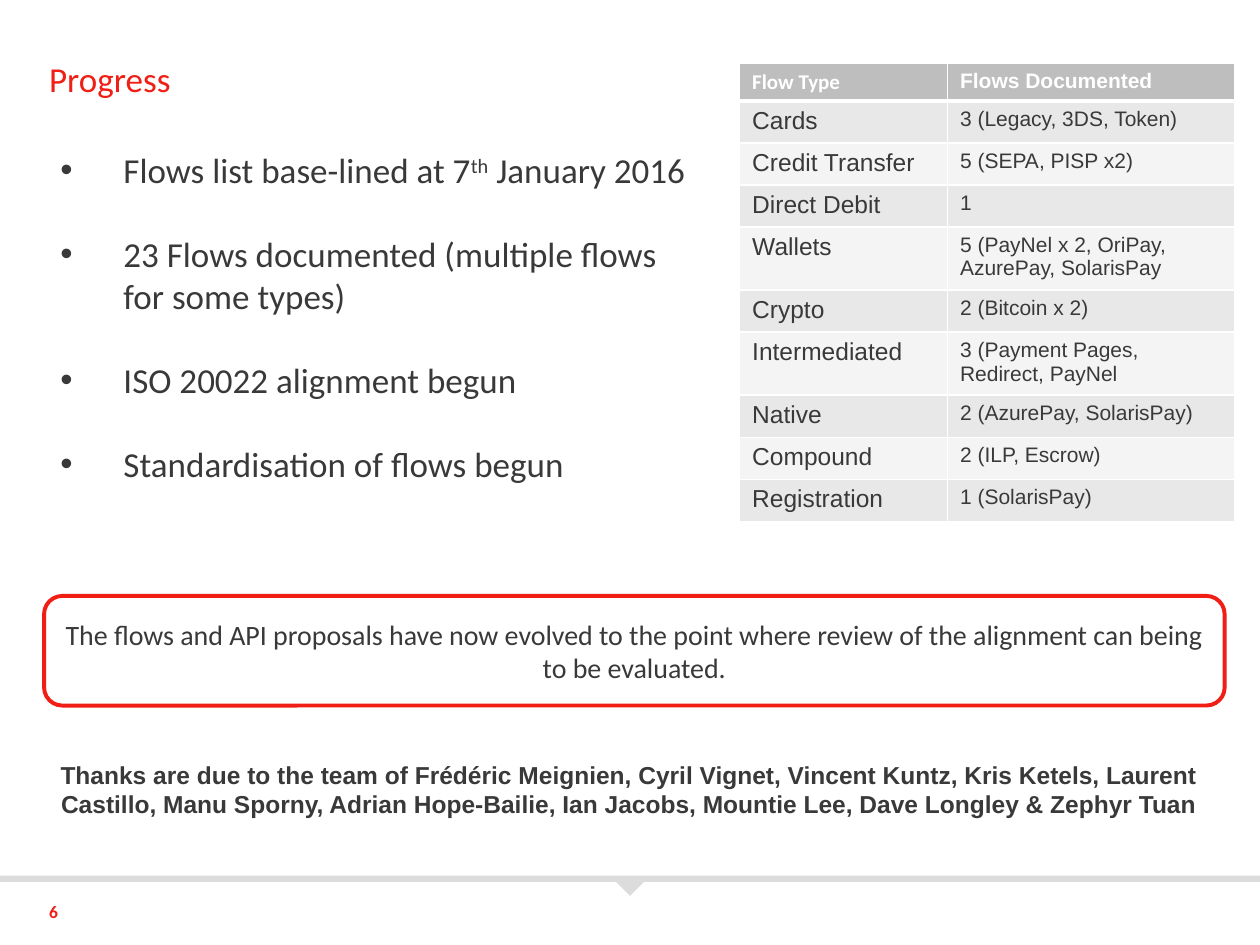
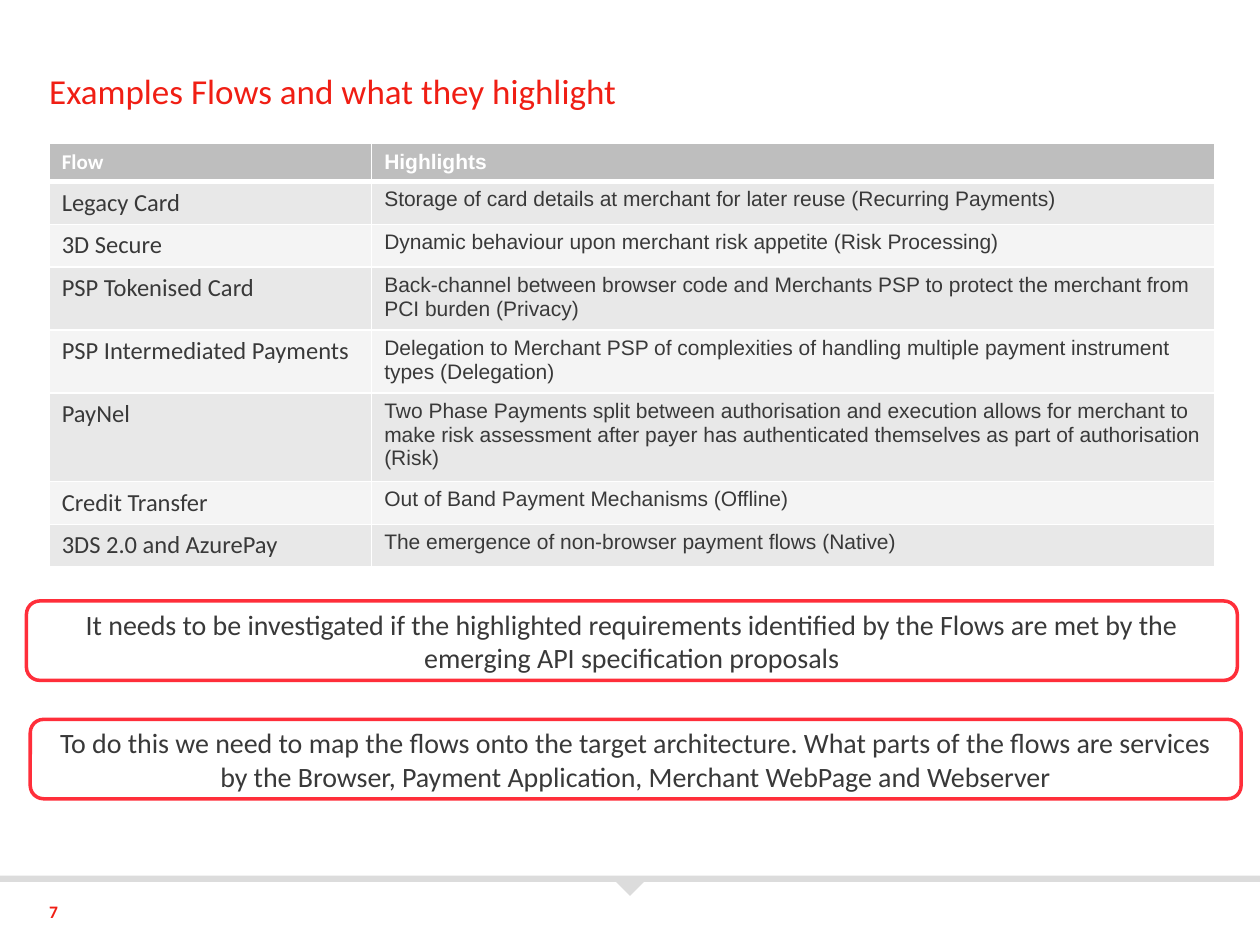
from lxml.etree import SubElement
from pptx import Presentation
from pptx.dml.color import RGBColor
from pptx.enum.shapes import MSO_SHAPE as Shape
from pptx.enum.text import MSO_ANCHOR as Anchor, PP_ALIGN as Align
from pptx.oxml.ns import qn
from pptx.util import Inches, Pt

RED, CORAL, INK, WHITE = "F01E14", "FF2E3A", "393939", "FFFFFF"
BAND, HEADER, ODD_ROW, EVEN_ROW = "DCDCDC", "BEBEBE", "E8E8E8", "F4F4F4"
SANS, ARIAL = "Calibri", "Arial"
LEFT, CONTENT_WIDTH = 0.39, 9.25

FLOW_TYPES = [
    ("Flow Type", "Flows Documented"),
    ("Cards", "3 (Legacy, 3DS, Token)"),
    ("Credit Transfer", "5 (SEPA, PISP x2)"),
    ("Direct Debit", "1"),
    ("Wallets", "5 (PayNel x 2, OriPay, AzurePay, SolarisPay"),
    ("Crypto", "2 (Bitcoin x 2)"),
    ("Intermediated", "3 (Payment Pages, Redirect, PayNel"),
    ("Native", "2 (AzurePay, SolarisPay)"),
    ("Compound", "2 (ILP, Escrow)"),
    ("Registration", "1 (SolarisPay)"),
]
FLOW_HIGHLIGHTS = [
    ("Flow", "Highlights"),
    ("Legacy Card", "Storage of card details at merchant for later reuse (Recurring Payments)"),
    ("3D Secure", "Dynamic behaviour upon merchant risk appetite (Risk Processing)"),
    ("PSP Tokenised Card", "Back-channel between browser code and Merchants PSP to protect "
     "the merchant from PCI burden (Privacy)"),
    ("PSP Intermediated Payments", "Delegation to Merchant PSP of complexities of handling "
     "multiple payment instrument types (Delegation)"),
    ("PayNel", "Two Phase Payments split between authorisation and execution allows for "
     "merchant to make risk assessment after payer has authenticated themselves as part of "
     "authorisation (Risk)"),
    ("Credit Transfer", "Out of Band Payment Mechanisms (Offline)"),
    ("3DS 2.0 and AzurePay", "The emergence of non-browser payment flows (Native)"),
]
PROGRESS_POINTS = [
    "Flows list base-lined at 7^th^ January 2016",
    "23 Flows documented (multiple flows for some types)",
    "ISO 20022 alignment begun",
    "Standardisation of flows begun",
]


def rgb(color):
    return RGBColor.from_string(color)


def inches(box):
    return [Inches(length) for length in box]


def write(frame, *paragraphs, size=16, font=SANS, color=INK, bold=False, align=Align.LEFT,
          spacing=None, gap=0, bullet_indent=0):
    for index, content in enumerate(paragraphs):
        paragraph = frame.add_paragraph() if index else frame.paragraphs[0]
        paragraph.alignment = align
        paragraph.line_spacing = spacing
        paragraph.space_before = Pt(gap if index else 0)
        if bullet_indent:
            properties = paragraph._p.get_or_add_pPr()
            properties.set("marL", str(Inches(bullet_indent)))
            properties.set("indent", str(-Inches(bullet_indent)))
            SubElement(properties, qn("a:buFont")).set("typeface", ARIAL)
            SubElement(properties, qn("a:buChar")).set("char", "•")
        for position, piece in enumerate(content.split("^")):
            run = paragraph.add_run()
            run.text = piece
            run.font.size = Pt(size)
            run.font.name = font
            run.font.bold = bold
            run.font.color.rgb = rgb(color)
            if position % 2:
                run.font._element.set("baseline", "30000")


def add_text(slide, box, *paragraphs, anchor=Anchor.TOP, margins=(0, 0), **style):
    frame = slide.shapes.add_textbox(*inches(box)).text_frame
    frame.word_wrap = True
    frame.vertical_anchor = anchor
    frame.margin_left = frame.margin_right = Inches(margins[0])
    frame.margin_top = frame.margin_bottom = Inches(margins[1])
    write(frame, *paragraphs, **style)


def add_block(slide, preset, box, fill, line=None, weight=0):
    block = slide.shapes.add_shape(preset, *inches(box))
    block.shadow.inherit = False
    block.fill.solid()
    block.fill.fore_color.rgb = rgb(fill)
    if line:
        block.line.color.rgb = rgb(line)
        block.line.width = Pt(weight)
    else:
        block.line.fill.background()
    return block


def add_callout(slide, box, message, line, weight):
    frame = add_block(slide, Shape.ROUNDED_RECTANGLE, box, WHITE, line, weight).text_frame
    frame.word_wrap = True
    frame.vertical_anchor = Anchor.MIDDLE
    write(frame, message, align=Align.CENTER)


def add_footer(slide, box, number):
    left, top, width, height = box
    add_block(slide, Shape.RECTANGLE, (left, top, width, 0.05), BAND)
    notch = add_block(slide, Shape.ISOSCELES_TRIANGLE,
                      (left + width / 2 - 0.11, top + 0.05, 0.22, 0.11), BAND)
    notch.rotation = 180
    add_text(slide, (left + LEFT, top + 0.2, 0.66, height - 0.23), str(number),
             size=10, color=RED, bold=True)


def style_cell(cell, fill, top, bottom):
    properties = cell._tc.get_or_add_tcPr()
    for side, weight in zip("LRTB", (1, 1, top, bottom)):
        border = SubElement(properties, qn(f"a:ln{side}"), w=str(Pt(weight)))
        SubElement(SubElement(border, qn("a:solidFill")), qn("a:srgbClr"), val=WHITE)
    cell.fill.solid()
    cell.fill.fore_color.rgb = rgb(fill)


def add_flow_table(slide, corner, widths, heights, rows, label_font):
    box = (*corner, sum(widths), sum(heights))
    table = slide.shapes.add_table(len(rows), len(widths), *inches(box)).table
    for column, width in zip(table.columns, widths):
        column.width = Inches(width)
    for index, (entries, height) in enumerate(zip(rows, heights)):
        table.rows[index].height = Inches(height)
        header = index == 0
        fill = HEADER if header else ODD_ROW if index % 2 else EVEN_ROW
        fonts = (SANS if header else label_font, ARIAL)
        sizes = (12 if header else 14, 12)
        for column, entry in enumerate(entries):
            cell = table.cell(index, column)
            style_cell(cell, fill, 3 if index == 1 else 1, 3 if header else 1)
            write(cell.text_frame, entry, size=sizes[column], font=fonts[column],
                  color=WHITE if header else INK, bold=header)


def add_base(deck, number, title, title_top):
    slide = deck.slides.add_slide(deck.slide_layouts[6])
    add_footer(slide, (0, 6.95, 10, 0.55), number)
    add_text(slide, (LEFT, title_top, CONTENT_WIDTH, 0.52), title, anchor=Anchor.BOTTOM,
             size=20, color=RED, spacing=0.8)
    return slide


def build_progress(deck):
    slide = add_base(deck, 6, "Progress", 0.27)
    add_text(slide, (LEFT, 1.14, 5.24, 3.4), *PROGRESS_POINTS, margins=(0.09, 0.04),
             size=20, gap=24, bullet_indent=0.5)
    single, double = 0.32, 0.47
    heights = [0.29] + [single] * 3 + [double, single, double] + [single] * 3
    add_flow_table(slide, (5.87, 0.5), (1.65, 2.28), heights, FLOW_TYPES, ARIAL)
    add_callout(slide, (0.35, 4.73, 9.37, 0.87),
                "The flows and API proposals have now evolved to the point where review of "
                "the alignment can being to be evaluated.", RED, 2.25)
    add_text(slide, (0.35, 6.03, 9.29, 0.47),
             "Thanks are due to the team of Frédéric Meignien, Cyril Vignet, Vincent Kuntz, "
             "Kris Ketels, Laurent Castillo, Manu Sporny, Adrian Hope-Bailie, Ian Jacobs, "
             "Mountie Lee, Dave Longley & Zephyr Tuan",
             size=14, font=ARIAL, bold=True, align=Align.CENTER)


def build_highlights(deck):
    slide = add_base(deck, 7, "Examples Flows and what they highlight", 0.36)
    single, double, triple = 0.34, 0.47, 0.66
    heights = [0.3, single, single, double, double, triple, single, single]
    add_flow_table(slide, (LEFT, 1.14), (2.56, 6.69), heights, FLOW_HIGHLIGHTS, SANS)
    add_callout(slide, (0.21, 4.77, 9.61, 0.63),
                "It needs to be investigated if the highlighted requirements identified by "
                "the Flows are met by the emerging API specification proposals", CORAL, 2)
    add_callout(slide, (0.24, 5.71, 9.61, 0.63),
                "To do this we need to map the flows onto the target architecture. What parts "
                "of the flows are services by the Browser, Payment Application, Merchant "
                "WebPage and Webserver", CORAL, 2)


def main():
    deck = Presentation()
    deck.slide_width, deck.slide_height = Inches(10), Inches(7.5)
    build_progress(deck)
    build_highlights(deck)
    deck.save("out.pptx")


if __name__ == "__main__":
    main()
